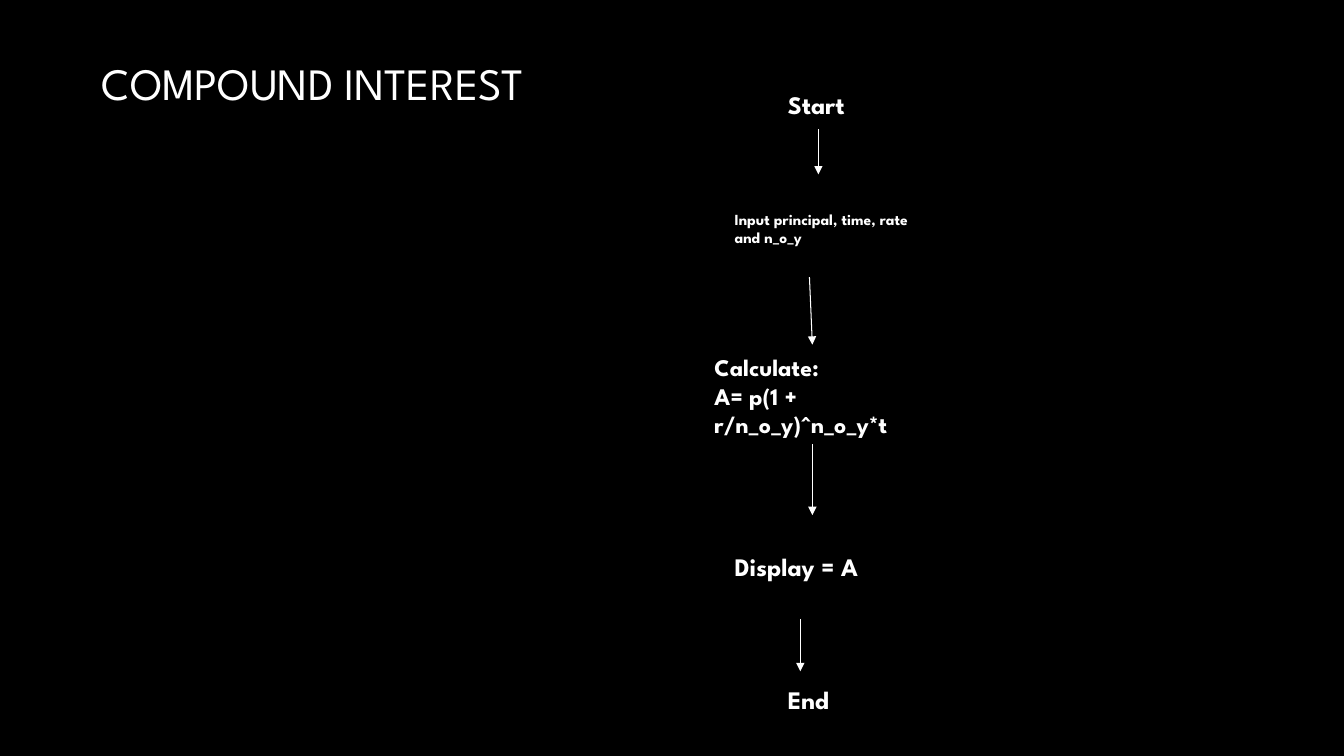
from lxml import etree
from pptx import Presentation
from pptx.dml.color import RGBColor
from pptx.enum.shapes import MSO_CONNECTOR as CONNECTOR
from pptx.enum.text import MSO_ANCHOR as ANCHOR, MSO_AUTO_SIZE as AUTO_SIZE, PP_ALIGN as ALIGN
from pptx.oxml.ns import qn
from pptx.util import Pt

# Content
TITLE = "COMPOUND INTEREST"
STEPS = [  # lines, left, top, width, height, font size
    (["Start"], 555.8, 60.5, 144, 29, 18),
    (["Input principal, time, rate and n_o_y"], 517.7, 146.2, 144, 34, 11),
    (["Calculate:", "A= p(1 + r/n_o_y)^n_o_y*t"], 503.3, 248.4, 158.4, 69, 17),
    (["Display = A"], 517.7, 390.2, 144, 29, 18),
    (["End"], 555.8, 485.3, 144, 29, 18),
]
ARROWS = [  # start x, start y, end x, end y
    (584.6, 92.2, 584.6, 124.6),
    (578.2, 198, 580.3, 246.2),
    (580.3, 317.5, 580.3, 367.9),
    (571.7, 442.1, 571.7, 479.5),
]

FONT = "League Spartan"
BLACK = RGBColor(0x00, 0x00, 0x00)
WHITE = RGBColor(0xFF, 0xFF, 0xFF)


def style_paragraph(paragraph, size, bold):
    paragraph.alignment = ALIGN.LEFT
    font = paragraph.font
    font.name, font.size, font.bold = FONT, Pt(size), bold
    font.color.rgb = WHITE


def add_step(slide, lines, left, top, width, height, size):
    box = slide.shapes.add_textbox(Pt(left), Pt(top), Pt(width), Pt(height))
    frame = box.text_frame
    frame.word_wrap = True
    frame.auto_size = AUTO_SIZE.SHAPE_TO_FIT_TEXT
    frame.text = "\n".join(lines)
    for paragraph in frame.paragraphs:
        style_paragraph(paragraph, size, True)


def add_arrow(slide, *ends):
    arrow = slide.shapes.add_connector(CONNECTOR.STRAIGHT, *map(Pt, ends))
    arrow.line.color.rgb = WHITE
    arrow.line.width = Pt(0.75)
    line = arrow.line._get_or_add_ln()
    etree.SubElement(line, qn("a:tailEnd"), type="triangle")
    etree.SubElement(arrow._element.spPr, qn("a:effectLst"))


def main():
    presentation = Presentation()
    presentation.slide_width, presentation.slide_height = Pt(960), Pt(540)
    slide = presentation.slides.add_slide(presentation.slide_layouts[5])
    slide.background.fill.solid()
    slide.background.fill.fore_color.rgb = BLACK

    # Title, raised above the middle of its box by a deep bottom inset
    title = slide.shapes.title
    title.left, title.top, title.width, title.height = Pt(65.5), Pt(0), Pt(780), Pt(150)
    frame = title.text_frame
    frame.text = TITLE
    frame.auto_size = AUTO_SIZE.NONE
    frame.vertical_anchor = ANCHOR.MIDDLE
    frame.margin_bottom = Pt(36)
    style_paragraph(frame.paragraphs[0], 32, False)

    # Flowchart
    for step in STEPS:
        add_step(slide, *step)
    for arrow in ARROWS:
        add_arrow(slide, *arrow)

    presentation.save("out.pptx")


if __name__ == "__main__":
    main()
